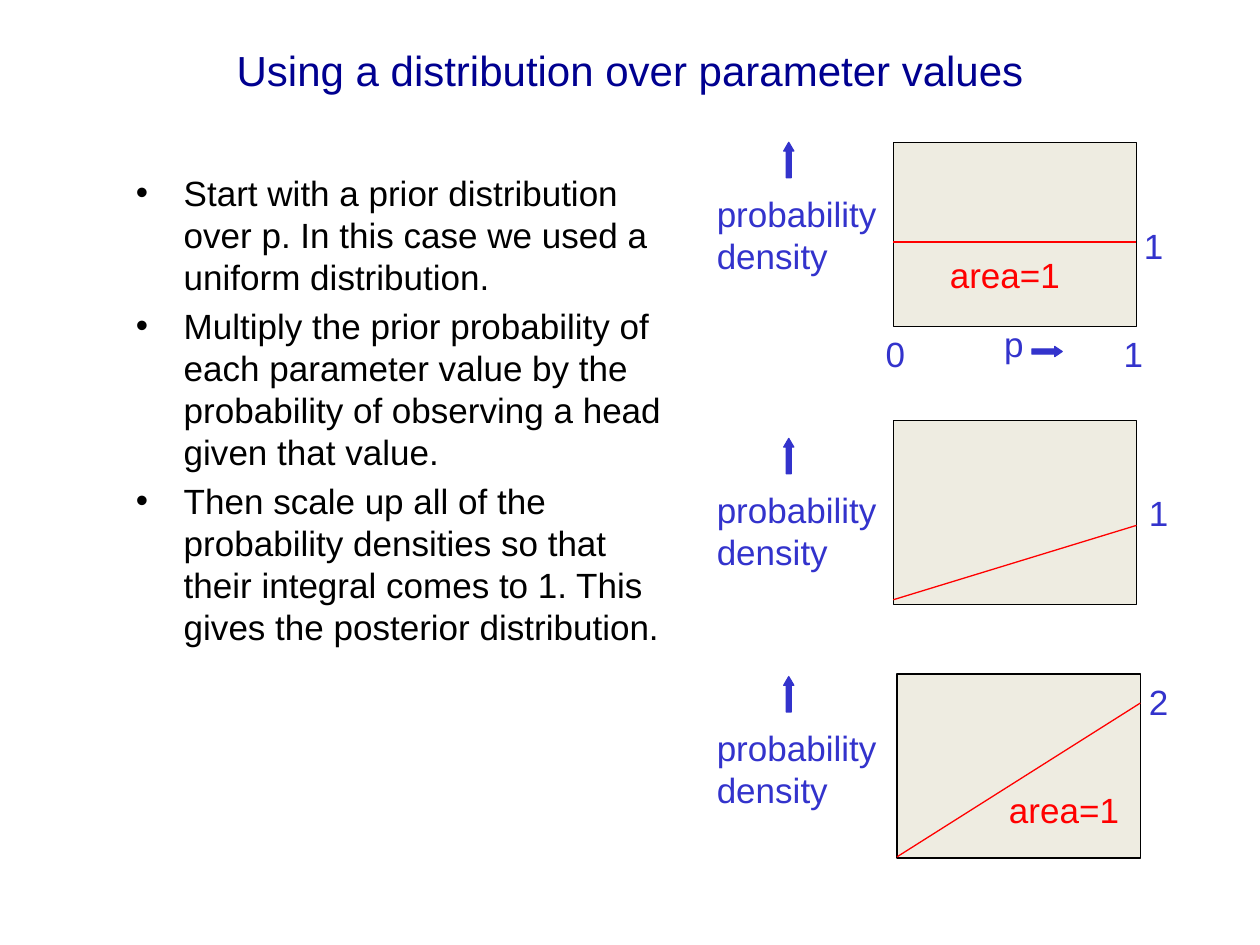
from lxml.etree import SubElement
from pptx import Presentation
from pptx.dml.color import RGBColor
from pptx.enum.shapes import MSO_CONNECTOR as LINK, MSO_SHAPE as SHAPE
from pptx.enum.text import MSO_ANCHOR as ANCHOR, PP_ALIGN as ALIGN
from pptx.oxml.ns import qn
from pptx.util import Inches, Pt

COLS, ROWS = 100, 75
WIDE, HIGH = Inches(10), Inches(7.5)
PLOT_W, PLOT_H = 19.3, 14.6
NAVY = RGBColor(0x00, 0x00, 0x90)
BLUE = RGBColor(0x33, 0x33, 0xCC)
RED = RGBColor(0xFF, 0x00, 0x00)
BLACK = RGBColor(0x00, 0x00, 0x00)
CREAM = RGBColor(0xEE, 0xEC, 0xE1)

POINTS = [
    "Start with a prior distribution over p. In this case we used a uniform distribution.",
    "Multiply the prior probability of each parameter value by the probability of "
    "observing a head given that value.",
    "Then scale up all of the probability densities so that their integral comes to 1. "
    "This gives the posterior distribution.",
]

PLOTS = [
    (70.9, 11.3, 11.3, 19.2, 19.2, 1.5),
    (70.9, 33.4, 34.8, 47.6, 41.7, 0.75),
    (71.2, 53.5, 53.7, 68, 55.8, 0.75),
]

LABELS = [
    ("p", 78.7, 25.1, 3.5, BLUE),
    ("0", 69.3, 25.9, 5.1, BLUE),
    ("1", 88.2, 25.9, 3.9, BLUE),
    ("1", 89.8, 17.3, 3.9, BLUE),
    ("1", 90.2, 38.5, 3.9, BLUE),
    ("2", 90.2, 53.5, 3.9, BLUE),
    ("area=1", 74.4, 19.6, 13, RED),
    ("area=1", 79.1, 62.1, 13, RED),
]


def spot(col, row):
    return round(WIDE * col / COLS), round(HIGH * row / ROWS)


def style(para, size, color):
    para.line_spacing = Pt(size * 1.2)
    for run in para.runs:
        run.font.name = "Arial"
        run.font.size = Pt(size)
        run.font.color.rgb = color


def add_text(slide, lines, col, row, wide, high, color, size=20):
    box = slide.shapes.add_textbox(*spot(col, row), *spot(wide, high))
    frame = box.text_frame
    frame.word_wrap = True
    frame.text = "\n".join(lines)
    for para in frame.paragraphs:
        style(para, size, color)
    return frame


def add_title(slide, text):
    frame = add_text(slide, [text], 5, -0.7, 90, 12.5, NAVY, 24)
    frame.vertical_anchor = ANCHOR.MIDDLE
    frame.paragraphs[0].alignment = ALIGN.CENTER


def add_list(slide, lines):
    frame = add_text(slide, lines, 9.8, 13.1, 44.2, 57.5, BLACK)
    for num, para in enumerate(frame.paragraphs):
        para.space_before = Pt(4 if num else 0)
        props = para._p.get_or_add_pPr()
        props.set("marL", str(Inches(0.38)))
        props.set("indent", str(-Inches(0.38)))
        SubElement(props, qn("a:buFont")).set("typeface", "Arial")
        SubElement(props, qn("a:buChar")).set("char", "•")


def add_form(slide, kind, col, row, wide, high, fill, edge):
    form = slide.shapes.add_shape(kind, *spot(col, row), *spot(wide, high))
    form.shadow.inherit = False
    form.fill.solid()
    form.fill.fore_color.rgb = fill
    form.line.color.rgb = edge
    form.line.width = Pt(0.75)
    return form


def add_arrow(slide, kind, col, row, wide, high, head):
    arrow = add_form(slide, kind, col, row, wide, high, BLUE, BLUE)
    arrow.adjustments[0] = 0.5
    arrow.adjustments[1] = head


def add_curve(slide, col, start, end, width):
    line = slide.shapes.add_connector(
        LINK.STRAIGHT, *spot(col, start), *spot(col + PLOT_W, end))
    line.line.color.rgb = RED
    line.line.width = Pt(width)
    SubElement(line._element.spPr, qn("a:effectLst"))


def add_plot(slide, col, row, tip, start, end, width):
    add_form(slide, SHAPE.RECTANGLE, col, row, PLOT_W, PLOT_H, CREAM, BLACK)
    add_curve(slide, col, start, end, width)
    add_arrow(slide, SHAPE.UP_ARROW, 62.2, tip, 0.8, 2.8, 0.86)
    add_text(slide, ["probability density"], 55.9, tip + 3.5, 16.1, 7.7, BLUE)


def main():
    deck = Presentation()
    deck.slide_width, deck.slide_height = WIDE, HIGH
    slide = deck.slides.add_slide(deck.slide_layouts[6])
    add_title(slide, "Using a distribution over parameter values")
    add_list(slide, POINTS)
    for plot in PLOTS:
        add_plot(slide, *plot)
    add_arrow(slide, SHAPE.RIGHT_ARROW, 81.9, 27.5, 2.4, 0.8, 0.74)
    for text, col, row, wide, color in LABELS:
        add_text(slide, [text], col, row, wide, 4.4, color)
    deck.save("out.pptx")


if __name__ == "__main__":
    main()
